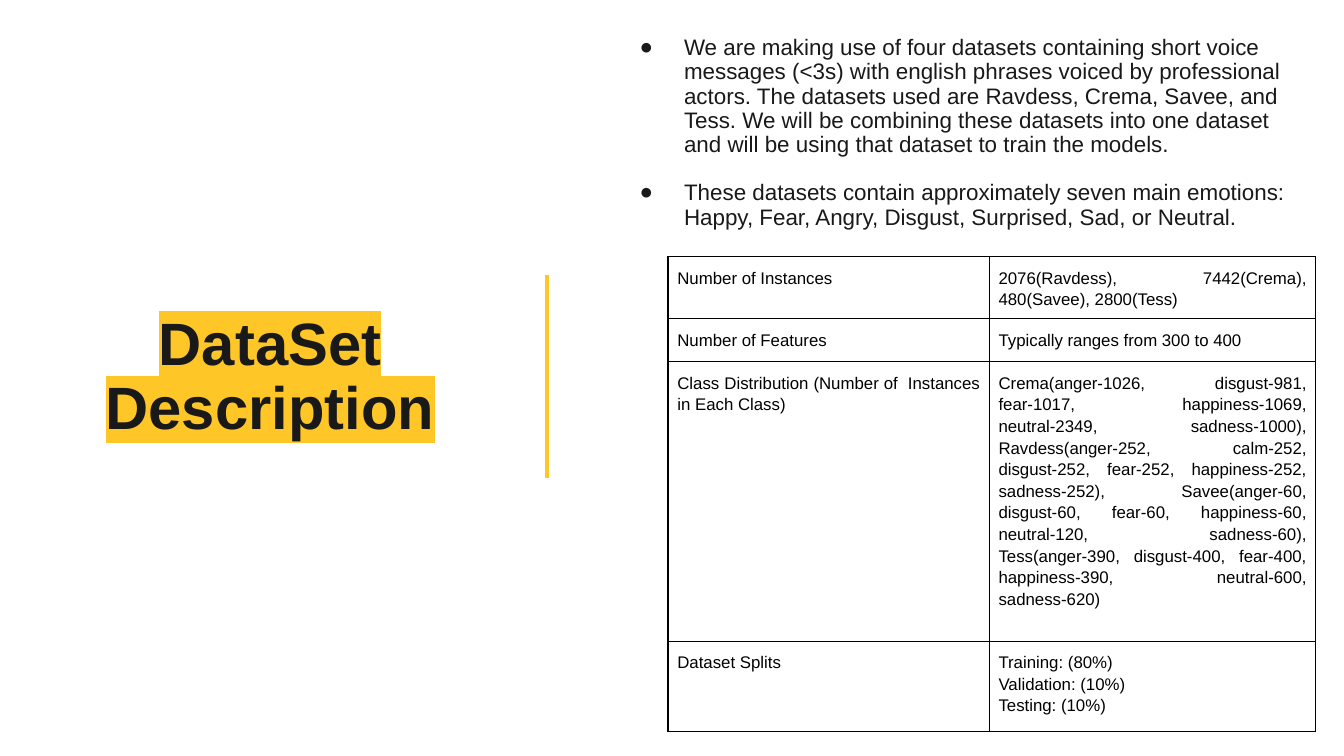
from lxml import etree
from pptx import Presentation
from pptx.dml.color import RGBColor
from pptx.enum.text import MSO_ANCHOR as Anchor, MSO_AUTO_SIZE as AutoSize, PP_ALIGN as Align
from pptx.oxml.ns import qn
from pptx.util import Inches, Pt

GOLD = RGBColor(0xFF, 0xC6, 0x27)
INK = RGBColor(0x19, 0x19, 0x19)
BLACK = RGBColor(0, 0, 0)
FONT = "Arial"

BULLETS = [
    "We are making use of four datasets containing short voice messages (<3s) with "
    "english phrases voiced by professional actors. The datasets used are Ravdess, "
    "Crema, Savee, and Tess. We will be combining these datasets into one dataset and "
    "will be using that dataset to train the models.",
    "These datasets contain approximately seven main emotions: Happy, Fear, Angry, "
    "Disgust, Surprised, Sad, or Neutral.",
]
TABLE_ROWS = [
    ("Number of Instances", "2076(Ravdess), 7442(Crema), 480(Savee), 2800(Tess)"),
    ("Number of Features", "Typically ranges from 300 to 400"),
    ("Class Distribution (Number of  Instances in Each Class)",
     "Crema(anger-1026, disgust-981, fear-1017, happiness-1069, neutral-2349, "
     "sadness-1000), Ravdess(anger-252, calm-252, disgust-252, fear-252, "
     "happiness-252, sadness-252), Savee(anger-60, disgust-60, fear-60, "
     "happiness-60, neutral-120, sadness-60), Tess(anger-390, disgust-400, "
     "fear-400, happiness-390, neutral-600, sadness-620)"),
    ("Dataset Splits", "Training: (80%)\nValidation: (10%)\nTesting: (10%)"),
]
COLUMN_WIDTHS = [2.39, 2.43]
ROW_HEIGHTS = [0.46, 0.32, 2.08, 0.67]


def format_paragraph(paragraph, size, color, align, spacing, bold=False):
    paragraph.alignment = align
    paragraph.line_spacing = spacing
    for run in paragraph.runs:
        run.font.name = FONT
        run.font.size = Pt(size)
        run.font.bold = bold
        run.font.color.rgb = color


def prepare_frame(text_frame, anchor):
    text_frame.word_wrap = True
    text_frame.auto_size = AutoSize.NONE
    text_frame.vertical_anchor = anchor
    text_frame.margin_left = text_frame.margin_right = 0
    text_frame.margin_top = text_frame.margin_bottom = 0


def add_color(parent, color):
    etree.SubElement(parent, qn("a:srgbClr"), val=str(color))


def highlight(run, color):
    mark = etree.Element(qn("a:highlight"))
    add_color(mark, color)
    run.font._element.find(qn("a:solidFill")).addnext(mark)


def add_bullet(paragraph, color):
    properties = paragraph._p.get_or_add_pPr()
    properties.set("marL", str(Inches(0.5)))
    properties.set("indent", str(Inches(-0.33)))
    add_color(etree.SubElement(properties, qn("a:buClr")), color)
    etree.SubElement(properties, qn("a:buFont"), typeface=FONT)
    etree.SubElement(properties, qn("a:buChar"), char="●")


def set_borders(cell, color, width):
    properties = cell._tc.get_or_add_tcPr()
    for position, side in enumerate(("lnL", "lnR", "lnT", "lnB")):
        line = etree.Element(qn(f"a:{side}"), w=str(Pt(width)))
        add_color(etree.SubElement(line, qn("a:solidFill")), color)
        properties.insert(position, line)


def format_title(slide):
    title = slide.shapes.title
    title.left, title.top = Inches(0.35), Inches(0.35)
    title.width, title.height = Inches(3.32), Inches(4.93)
    prepare_frame(title.text_frame, Anchor.MIDDLE)
    title.text_frame.text = "DataSet Description"
    paragraph = title.text_frame.paragraphs[0]
    format_paragraph(paragraph, 32, INK, Align.CENTER, 0.9, bold=True)
    highlight(paragraph.runs[0], GOLD)


def add_divider(slide):
    x = Inches(4.07)
    divider = slide.shapes.add_connector(1, x, Inches(2.05), x, Inches(3.56))
    divider.line.color.rgb = GOLD
    divider.line.width = Pt(2.25)
    etree.SubElement(divider._element.spPr, qn("a:effectLst"))


def add_bullets(slide):
    box = slide.shapes.add_textbox(Inches(4.59), Inches(0.27), Inches(5.04), Inches(1.45))
    text_frame = box.text_frame
    prepare_frame(text_frame, Anchor.TOP)
    text_frame.text = "\n".join(BULLETS)
    for index, paragraph in enumerate(text_frame.paragraphs):
        add_bullet(paragraph, INK)
        format_paragraph(paragraph, 12, INK, Align.LEFT, 0.9)
        if index:
            paragraph.space_before = Pt(13)


def fill_cell(cell, text):
    cell.fill.background()
    set_borders(cell, BLACK, 0.75)
    cell.margin_left = cell.margin_right = Inches(0.07)
    cell.margin_top = cell.margin_bottom = Inches(0.07)
    cell.text_frame.text = text
    for paragraph in cell.text_frame.paragraphs:
        format_paragraph(paragraph, 9, BLACK, Align.JUSTIFY, 1.15)


def add_dataset_table(slide):
    frame = slide.shapes.add_table(
        len(ROW_HEIGHTS), len(COLUMN_WIDTHS), Inches(4.97), Inches(1.91),
        Inches(sum(COLUMN_WIDTHS)), Inches(sum(ROW_HEIGHTS)))
    table = frame.table
    table.first_row = table.horz_banding = False
    for column, width in zip(table.columns, COLUMN_WIDTHS):
        column.width = Inches(width)
    for row, height, texts in zip(table.rows, ROW_HEIGHTS, TABLE_ROWS):
        row.height = Inches(height)
        for cell, text in zip(row.cells, texts):
            fill_cell(cell, text)


def main():
    # Widescreen page, 16 to 9
    presentation = Presentation()
    presentation.slide_width = Inches(10)
    presentation.slide_height = Inches(10 * 9 / 16)
    slide = presentation.slides.add_slide(presentation.slide_layouts[5])

    # Left: title and dividing line
    format_title(slide)
    add_divider(slide)

    # Right: explanation above the dataset figures
    add_bullets(slide)
    add_dataset_table(slide)

    presentation.save("out.pptx")


if __name__ == "__main__":
    main()
